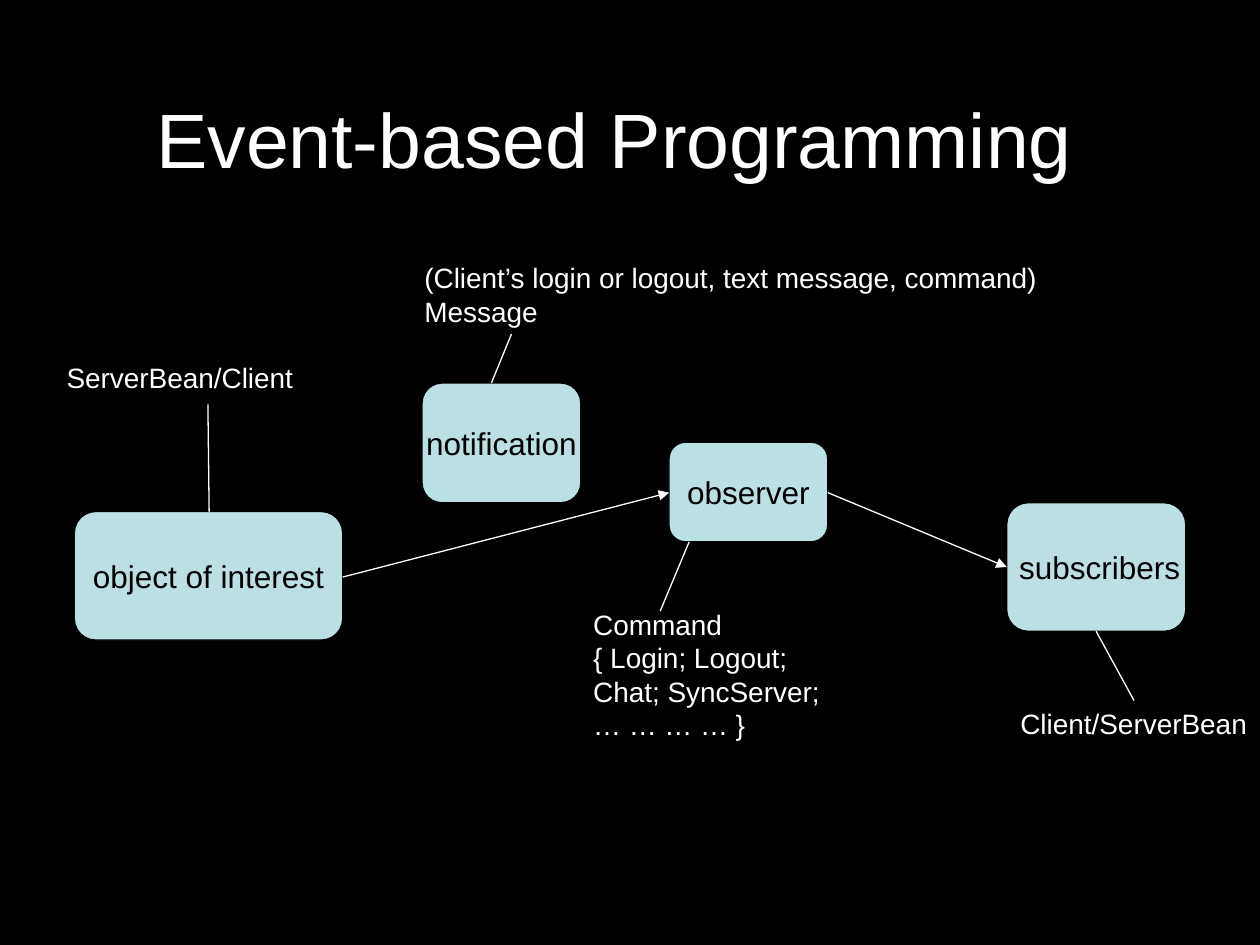
from dataclasses import dataclass

from lxml.etree import SubElement
from pptx import Presentation
from pptx.dml.color import RGBColor
from pptx.enum.shapes import MSO_CONNECTOR, MSO_SHAPE
from pptx.enum.text import MSO_ANCHOR, MSO_AUTO_SIZE, PP_ALIGN
from pptx.oxml.ns import qn
from pptx.util import Inches, Pt

BLACK = RGBColor(0x00, 0x00, 0x00)
WHITE = RGBColor(0xFF, 0xFF, 0xFF)
PALE_TEAL = RGBColor(0xBB, 0xE0, 0xE3)
FONT = "Arial"
LINE_WIDTH = Pt(0.75)


@dataclass(frozen=True)
class Area:
    left: float
    top: float
    width: float
    height: float

    def lengths(self) -> tuple:
        return tuple(Inches(n) for n in (self.left, self.top, self.width, self.height))


@dataclass(frozen=True)
class Node:
    area: Area
    label: str = ""


@dataclass(frozen=True)
class Note:
    area: Area
    lines: tuple[str, ...]
    size: int = 16
    color: RGBColor = WHITE
    wrap: bool = True


@dataclass(frozen=True)
class Link:
    start: tuple[float, float]
    end: tuple[float, float]
    arrow: bool = False


NODES = (
    Node(Area(7.99, 3.99, 1.42, 1.02)),  # labelled by the "subscribers" note
    Node(Area(3.35, 3.04, 1.26, 0.95), "notification"),
    Node(Area(0.59, 4.06, 2.13, 1.02), "object of interest"),
    Node(Area(5.31, 3.51, 1.26, 0.79), "observer"),
)

NOTES = (
    Note(Area(7.99, 4.3, 1.48, 0.4), ("subscribers",), 18, BLACK, wrap=False),
    Note(Area(0.43, 2.81, 2.44, 0.37), ("ServerBean/Client",)),
    Note(
        Area(3.27, 2.02, 6.46, 0.64),
        ("(Client’s login or logout, text message, command)", "Message"),
    ),
    Note(
        Area(4.61, 4.77, 2.44, 1.17),
        ("Command", "{ Login; Logout;", "Chat; SyncServer;", "… … … … }"),
    ),
    Note(Area(8, 5.56, 2, 0.37), ("Client/ServerBean",), wrap=False),
)

LINKS = (
    Link((2.72, 4.58), (5.31, 3.91), arrow=True),
    Link((6.57, 3.91), (7.99, 4.5), arrow=True),
    Link((1.65, 3.21), (1.66, 4.06)),
    Link((4.06, 2.65), (3.9, 3.04)),
    Link((5.47, 4.3), (5.24, 4.85)),
    Link((8.7, 5.01), (9, 5.56)),
)


def write_lines(frame, lines: tuple[str, ...], size: int, color: RGBColor,
                align=PP_ALIGN.LEFT) -> None:
    for index, line in enumerate(lines):
        para = frame.add_paragraph() if index else frame.paragraphs[0]
        para.alignment = align
        span = para.add_run()
        span.text = line
        span.font.name = FONT
        span.font.size = Pt(size)
        span.font.color.rgb = color


def set_title(page, area: Area, text: str) -> None:
    title = page.shapes.title
    title.left, title.top, title.width, title.height = area.lengths()
    frame = title.text_frame
    frame.vertical_anchor = MSO_ANCHOR.TOP
    frame.auto_size = MSO_AUTO_SIZE.NONE
    write_lines(frame, (text,), 44, WHITE)


def add_node(page, node: Node) -> None:
    box = page.shapes.add_shape(MSO_SHAPE.ROUNDED_RECTANGLE, *node.area.lengths())
    box.shadow.inherit = False
    box.fill.solid()
    box.fill.fore_color.rgb = PALE_TEAL
    box.line.color.rgb = BLACK
    box.line.width = LINE_WIDTH
    if node.label:
        frame = box.text_frame
        frame.word_wrap = False
        frame.vertical_anchor = MSO_ANCHOR.MIDDLE
        write_lines(frame, (node.label,), 18, BLACK, PP_ALIGN.CENTER)


def add_note(page, note: Note) -> None:
    frame = page.shapes.add_textbox(*note.area.lengths()).text_frame
    frame.word_wrap = note.wrap
    write_lines(frame, note.lines, note.size, note.color)


def add_link(page, link: Link) -> None:
    ends = (Inches(n) for n in link.start + link.end)
    connector = page.shapes.add_connector(MSO_CONNECTOR.STRAIGHT, *ends)
    connector.line.color.rgb = WHITE
    connector.line.width = LINE_WIDTH
    if link.arrow:
        SubElement(connector.line._get_or_add_ln(), qn("a:tailEnd"), type="triangle")
    SubElement(connector._element.spPr, qn("a:effectLst"))


def main() -> None:
    deck = Presentation()
    deck.slide_width, deck.slide_height = Inches(10), Inches(7.5)
    page = deck.slides.add_slide(deck.slide_layouts.get_by_name("Title Only"))
    page.background.fill.solid()
    page.background.fill.fore_color.rgb = BLACK

    set_title(page, Area(1.14, 0.68, 7.56, 0.84), "Event-based Programming")
    for node in NODES:
        add_node(page, node)
    for note in NOTES:
        add_note(page, note)
    for link in LINKS:
        add_link(page, link)

    deck.save("out.pptx")


if __name__ == "__main__":
    main()
